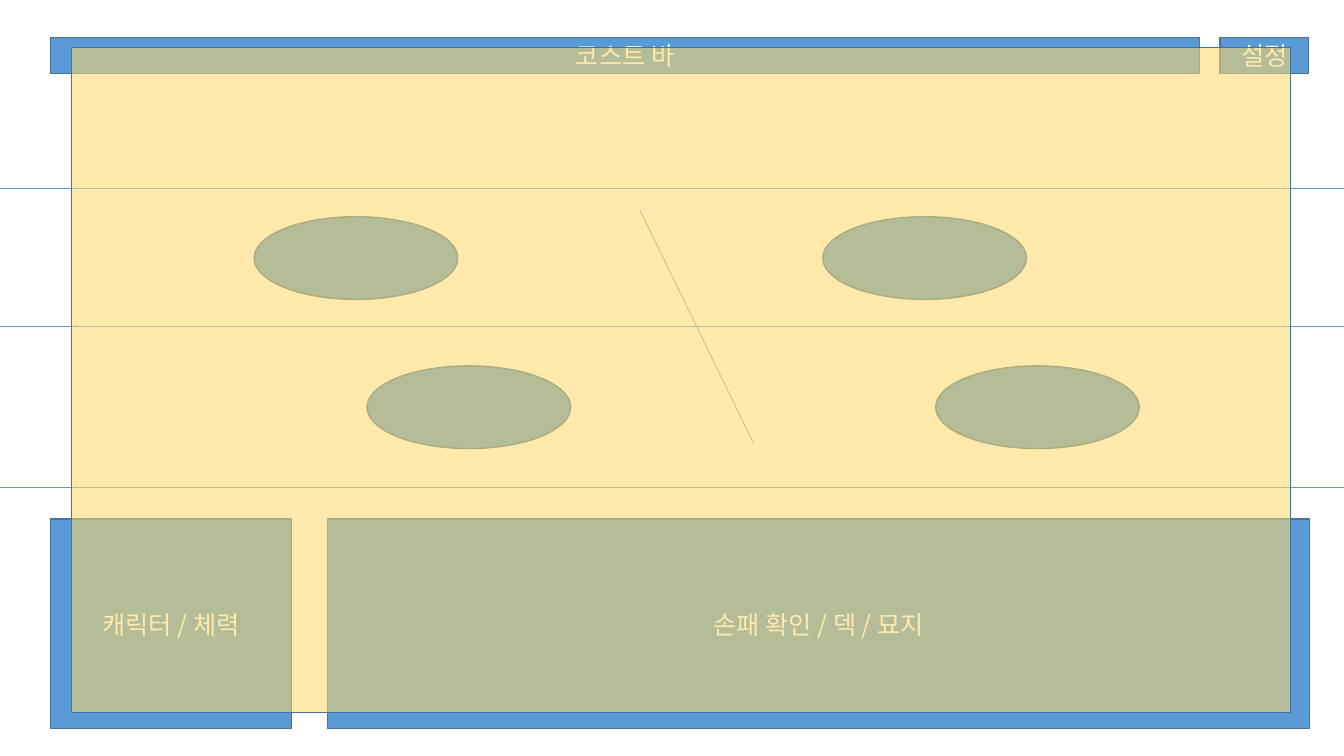
from lxml import etree
from pptx import Presentation
from pptx.dml.color import RGBColor
from pptx.enum.shapes import MSO_CONNECTOR as CONNECTOR, MSO_SHAPE as SHAPE
from pptx.enum.text import MSO_ANCHOR, PP_ALIGN
from pptx.oxml.ns import qn
from pptx.util import Inches, Pt

BLUE = RGBColor(0x5B, 0x9B, 0xD5)
OUTLINE = RGBColor(0x43, 0x73, 0x9E)
YELLOW = RGBColor(0xFF, 0xD9, 0x66)
WHITE = RGBColor(0xFF, 0xFF, 0xFF)
FONT = "Noto Sans CJK KR"
SLIDE_WIDTH, SLIDE_HEIGHT = 13.33, 7.5


def add_area(slide, kind, box, color=BLUE):
    """Add an outlined shape filling the box, given in inches."""
    area = slide.shapes.add_shape(kind, *map(Inches, box))
    area.shadow.inherit = False
    area.fill.solid()
    area.fill.fore_color.rgb = color
    area.line.color.rgb = OUTLINE
    area.line.width = Pt(1)
    return area


def add_panel(slide, box, label):
    """Add a rectangular interface panel with a centred label."""
    frame = add_area(slide, SHAPE.RECTANGLE, box).text_frame
    frame.word_wrap = True
    frame.vertical_anchor = MSO_ANCHOR.MIDDLE
    paragraph = frame.paragraphs[0]
    paragraph.alignment = PP_ALIGN.CENTER
    run = paragraph.add_run()
    run.text = label
    run.font.size = Pt(18)
    run.font.name = FONT
    run.font.color.rgb = WHITE
    etree.SubElement(run.font._element, qn("a:ea")).set("typeface", FONT)


def add_guide(slide, start, end):
    """Add a thin straight guide between two points in inches."""
    guide = slide.shapes.add_connector(CONNECTOR.STRAIGHT, *map(Inches, start + end))
    guide.line.color.rgb = BLUE
    guide.line.width = Pt(0.5)
    etree.SubElement(guide._element.spPr, qn("a:effectLst"))


def add_bottom_bar(slide, box):
    """Add the hand panel and the character panel across the box."""
    left, top, width, height = box
    character_width, gap = 2.39, 0.36
    hand_offset = character_width + gap
    add_panel(slide, (left + hand_offset, top, width - hand_offset, height),
              "손패 확인 / 덱 / 묘지")
    add_panel(slide, (left, top, character_width, height), "캐릭터 / 체력")


def add_top_bar(slide, box):
    """Add the cost bar and the settings button across the box."""
    left, top, width, height = box
    settings_width, gap = 0.88, 0.2
    cost_width = width - settings_width - gap
    add_panel(slide, (left, top, cost_width, height), "코스트 바")
    add_panel(slide, (left + width - settings_width, top, settings_width, height), "설정")


def add_battlefield(slide, box):
    """Add two slanted pairs of standing spots, one pair for each side."""
    left, top, width, height = box
    spot_width, spot_height, slant = 2.02, 0.82, 1.12
    side_step = width - spot_width - slant
    row_step = height - spot_height
    for side in range(2):
        for row in range(2):
            spot = (left + side * side_step + row * slant, top + row * row_step,
                    spot_width, spot_height)
            add_area(slide, SHAPE.OVAL, spot)


def add_guides(slide, box):
    """Add the horizontal row guides and the slanted centre line."""
    left, top, width, height = box
    for offset in (0, 1.37, height):
        add_guide(slide, (left, top + offset), (left + width, top + offset))
    add_guide(slide, (left + 6.35, top + 0.22), (left + 7.47, top + 2.52))


def add_safe_area(slide, box):
    """Add the translucent safe area over the whole screen."""
    safe_area = add_area(slide, SHAPE.RECTANGLE, box, YELLOW)
    color = safe_area._element.spPr.find(qn("a:solidFill")).find(qn("a:srgbClr"))
    etree.SubElement(color, qn("a:alpha")).set("val", "55000")


def main():
    """Build the battle screen layout and save it."""
    deck = Presentation()
    deck.slide_width, deck.slide_height = Inches(SLIDE_WIDTH), Inches(SLIDE_HEIGHT)
    slide = deck.slides.add_slide(deck.slide_layouts[6])
    add_bottom_bar(slide, (0.5, 5.15, 12.49, 2.08))
    add_top_bar(slide, (0.5, 0.37, 12.48, 0.36))
    add_battlefield(slide, (2.52, 2.15, 8.78, 2.3))
    add_guides(slide, (0, 1.87, SLIDE_WIDTH, 2.97))
    add_safe_area(slide, (0.71, 0.47, 12.09, 6.6))
    deck.save("out.pptx")


if __name__ == "__main__":
    main()
